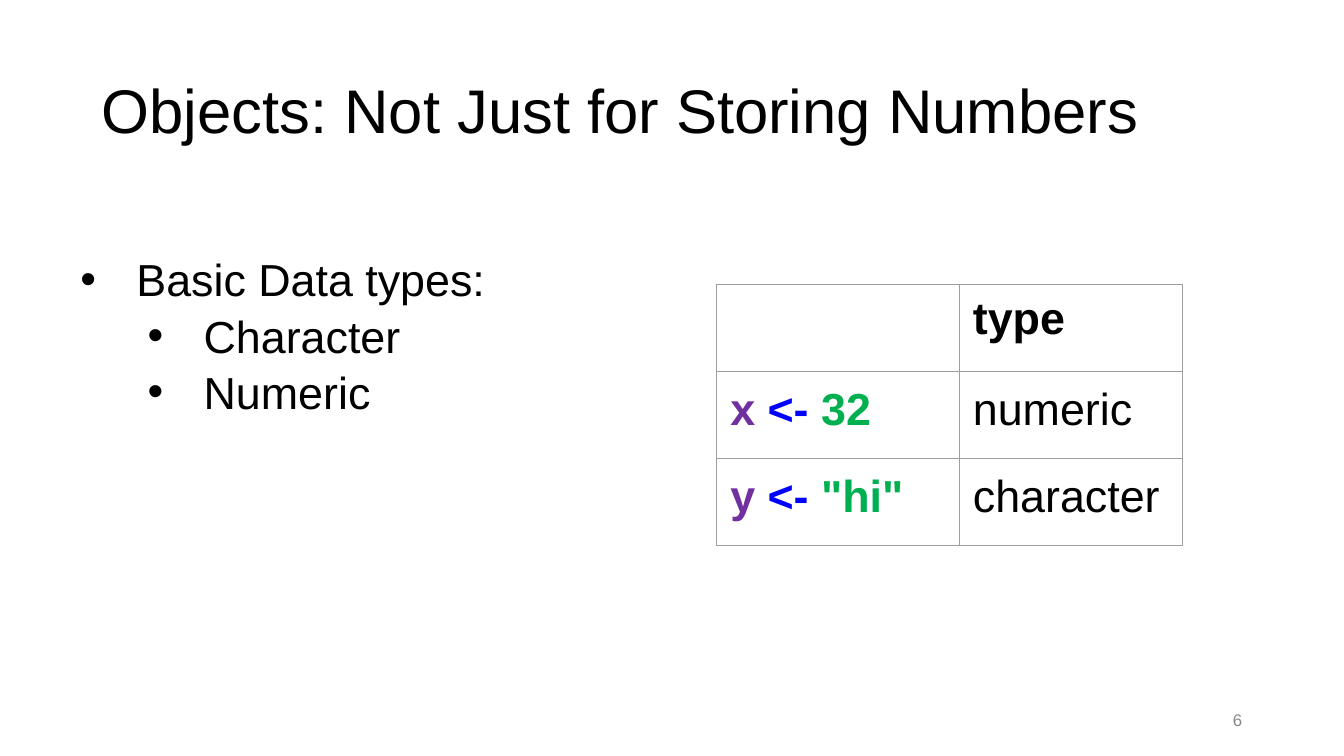
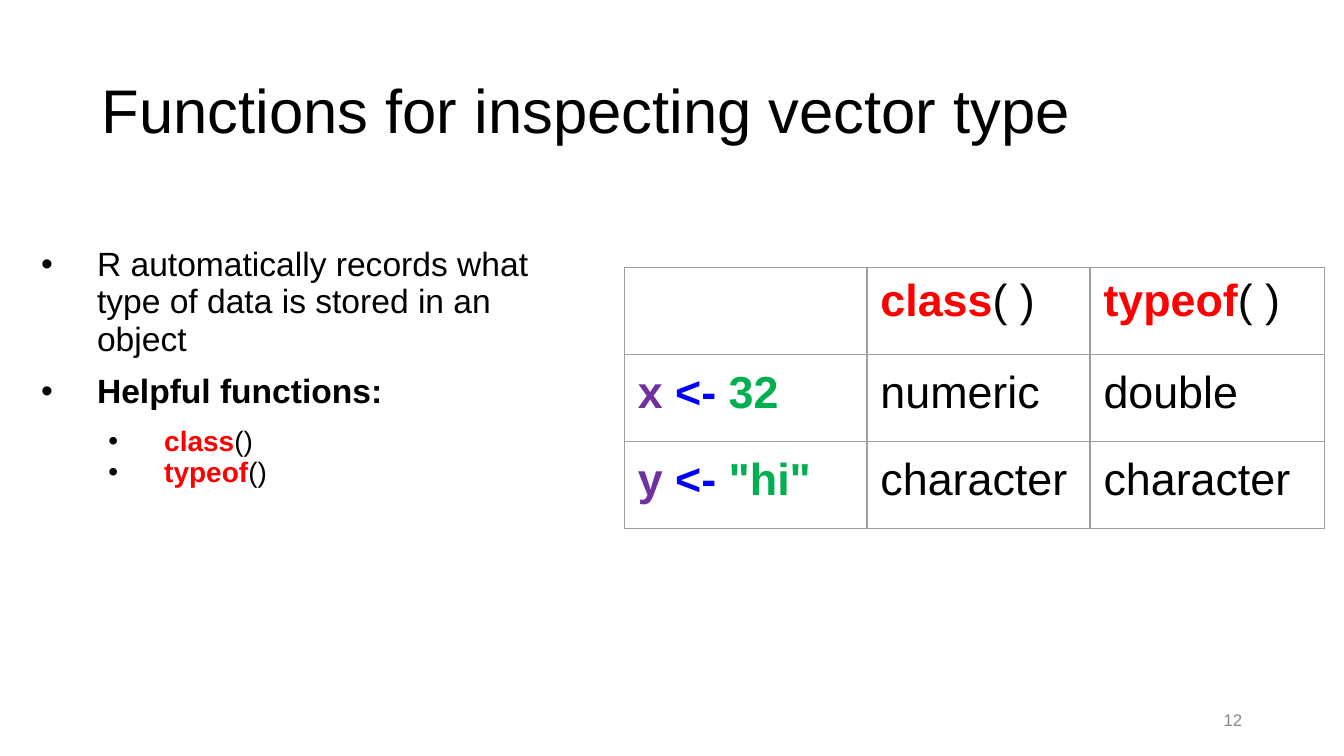
from lxml import etree
from pptx import Presentation
from pptx.dml.color import RGBColor
from pptx.enum import text
from pptx.oxml.ns import qn
from pptx.util import Pt

FONT = "Arial"
BLACK, GREY, BORDER = "000000", "888888", "9E9E9E"
PURPLE, BLUE, GREEN, RED = "7030A0", "0000FF", "00B050", "FF0000"


def plain(words):
    return [(words, BLACK, False)]


def bold(words):
    return [(words, BLACK, True)]


def assign(name, value):
    return [(name + " ", PURPLE, True), ("<- ", BLUE, True), (value, GREEN, True)]


def call(name, brackets):
    return [(name, RED, True), (brackets, BLACK, False)]


X, Y = assign("x", "32"), assign("y", '"hi"')

SLIDES = [
    {
        "title": "Objects: Not Just for Storing Numbers",
        "number": "6",
        "bullets_at": (30, 130, 306, 124),
        "bullet_margins": (7.2, 3.6, 7.2, 3.6),
        "line_spacing": 1.05,
        "bullets": [
            (0, 24, 8, plain("Basic Data types:")),
            (1, 24, 0, plain("Character")),
            (1, 24, 0, plain("Numeric")),
        ],
        "table_at": (384, 152.5),
        "columns": (130, 119.5),
        "rows": [
            [[], bold("type")],
            [X, plain("numeric")],
            [Y, plain("character")],
        ],
    },
    {
        "title": "Functions for inspecting vector type",
        "number": "12",
        "bullets_at": (11, 127, 306, 257),
        "bullet_margins": (5, 5, 5, 5),
        "line_spacing": 0.93,
        "bullets": [
            (0, 18, 8, plain("R automatically records what type of data is stored in an object")),
            (0, 18, 8, bold("Helpful functions:")),
            (1, 15, 8, call("class", "()")),
            (1, 15, 0, call("typeof", "()")),
        ],
        "table_at": (334.5, 143.25),
        "columns": (130, 119.5, 125.5),
        "rows": [
            [[], call("class", "( )"), call("typeof", "( )")],
            [X, plain("numeric"), plain("double")],
            [Y, plain("character"), plain("character")],
        ],
    },
]

TITLE_AT = (49.5, 21.5, 621, 78.5)
NUMBER_AT = (508.5, 375, 162, 21.5)
ROW_HEIGHT = 46.6
SIDES = ("left", "top", "right", "bottom")


def color(value):
    return RGBColor.from_string(value)


def apply(target, values):
    for name, value in values.items():
        setattr(target, name, value)


def set_margins(target, margins):
    apply(target, {f"margin_{side}": Pt(m) for side, m in zip(SIDES, margins)})


def place(sp, at):
    apply(sp, dict(zip(("left", "top", "width", "height"), map(Pt, at))))


def write(p, runs, size, **layout):
    apply(p, layout)
    for words, tint, heavy in runs:
        r = p.add_run()
        r.text = words
        apply(r.font, {"name": FONT, "size": Pt(size), "bold": heavy})
        r.font.color.rgb = color(tint)


def frame(sp, margins, anchor):
    tf = sp.text_frame
    apply(tf, {"word_wrap": True, "vertical_anchor": anchor,
               "auto_size": text.MSO_AUTO_SIZE.NONE})
    set_margins(tf, margins)
    return tf


def add_bullet_mark(p, level):
    pPr = p._p.get_or_add_pPr()
    pPr.set("marL", str(Pt(36 * (level + 1))))
    pPr.set("indent", str(-Pt(30)))
    tint = etree.SubElement(pPr, qn("a:buClr"))
    etree.SubElement(tint, qn("a:srgbClr")).set("val", BLACK)
    etree.SubElement(pPr, qn("a:buFont")).set("typeface", FONT)
    etree.SubElement(pPr, qn("a:buChar")).set("char", "•")


def add_title(s, words):
    sp = s.shapes.title
    place(sp, TITLE_AT)
    tf = frame(sp, (5, 5, 5, 5), text.MSO_ANCHOR.MIDDLE)
    write(tf.paragraphs[0], plain(words), 33,
          alignment=text.PP_ALIGN.LEFT, line_spacing=0.9)


def add_number(s, number):
    sp = s.shapes.add_textbox(*map(Pt, NUMBER_AT))
    tf = frame(sp, (5, 3, 5, 3), text.MSO_ANCHOR.MIDDLE)
    write(tf.paragraphs[0], [(number, GREY, False)], 9, alignment=text.PP_ALIGN.RIGHT)


def add_bullets(s, content):
    sp = s.shapes.add_textbox(*map(Pt, content["bullets_at"]))
    tf = frame(sp, content["bullet_margins"], text.MSO_ANCHOR.TOP)
    for i, (level, size, before, runs) in enumerate(content["bullets"]):
        p = tf.add_paragraph() if i else tf.paragraphs[0]
        write(p, runs, size, level=level, space_before=Pt(before),
              line_spacing=content["line_spacing"])
        add_bullet_mark(p, level)


def add_borders(cell):
    tcPr = cell._tc.get_or_add_tcPr()
    for i, side in enumerate(("lnL", "lnR", "lnT", "lnB")):
        ln = etree.Element(qn("a:" + side), w=str(Pt(0.75)))
        fill = etree.SubElement(ln, qn("a:solidFill"))
        etree.SubElement(fill, qn("a:srgbClr")).set("val", BORDER)
        tcPr.insert(i, ln)


def add_type_table(s, content):
    rows, columns = content["rows"], content["columns"]
    size = (sum(columns), ROW_HEIGHT * len(rows))
    table = s.shapes.add_table(len(rows), len(columns),
                               *map(Pt, content["table_at"] + size)).table
    apply(table, {"first_row": False, "horz_banding": False})
    for column, width in zip(table.columns, columns):
        column.width = Pt(width)
    for i, row in enumerate(rows):
        table.rows[i].height = Pt(ROW_HEIGHT)
        layout = {} if i else {"line_spacing": 0.9, "space_before": Pt(4)}
        for j, runs in enumerate(row):
            cell = table.cell(i, j)
            set_margins(cell, (7.2, 7.2, 7.2, 7.2))
            cell.fill.background()
            add_borders(cell)
            write(cell.text_frame.paragraphs[0], runs, 24, **layout)


def main():
    prs = Presentation()
    apply(prs, {"slide_width": Pt(720), "slide_height": Pt(405)})
    for content in SLIDES:
        s = prs.slides.add_slide(prs.slide_layouts[5])
        add_title(s, content["title"])
        add_bullets(s, content)
        add_type_table(s, content)
        add_number(s, content["number"])
    prs.save("out.pptx")


if __name__ == "__main__":
    main()
